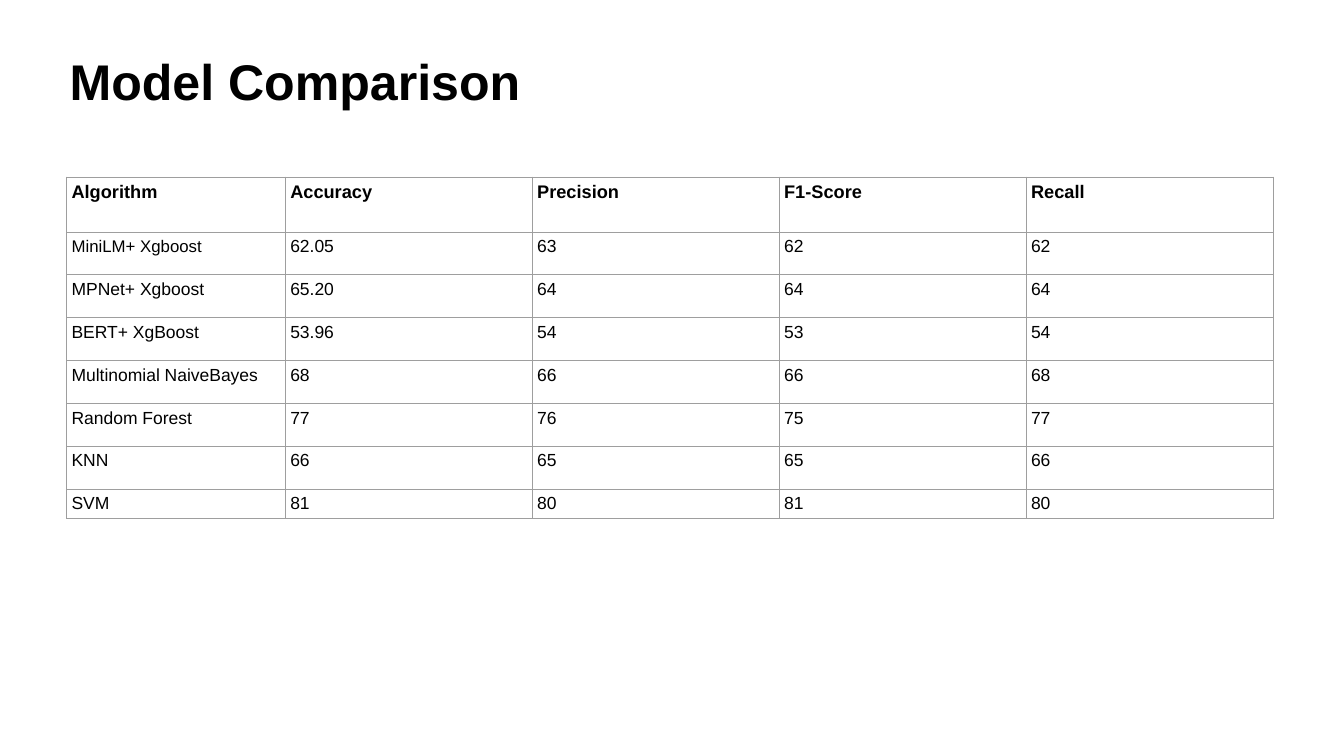
import pptx
import pptx.dml.color
import pptx.enum.text
import pptx.oxml
import pptx.oxml.ns
import pptx.util
from pptx.util import Inches


def style(r, size, bold):
    for name, value in {"name": "Arial", "size": pptx.util.Pt(size), "bold": bold}.items():
        setattr(r.font, name, value)
    r.font.color.rgb = pptx.dml.color.RGBColor.from_string("000000")


def add_borders(cell, color, width):
    tc_pr = cell._tc.get_or_add_tcPr()
    for i, side in enumerate(("lnL", "lnR", "lnT", "lnB")):
        tc_pr.insert(i, pptx.oxml.parse_xml(
            f'<a:{side} {pptx.oxml.ns.nsdecls("a")} w="{pptx.util.Pt(width)}">'
            f'<a:solidFill><a:srgbClr val="{color}"/></a:solidFill></a:{side}>'))


prs = pptx.Presentation()
prs.slide_width, prs.slide_height = Inches(26.67), Inches(15)
s = prs.slides.add_slide(prs.slide_layouts[5])

# Title
title = s.shapes.title
title.left, title.top = Inches(1.32), Inches(1.18)
title.width, title.height = Inches(24.03), Inches(1.57)
tf = title.text_frame
for side in ("left", "right", "top", "bottom"):
    setattr(tf, f"margin_{side}", Inches(0.06))
tf.word_wrap = True
tf.auto_size = pptx.enum.text.MSO_AUTO_SIZE.NONE
tf.vertical_anchor = pptx.enum.text.MSO_ANCHOR.TOP
p = tf.paragraphs[0]
p.alignment = pptx.enum.text.PP_ALIGN.LEFT
p.line_spacing = 0.8
r = p.add_run()
r.text = "Model Comparison"
style(r, 71.6, True)

# Score table
rows = [
    ("Algorithm", "Accuracy", "Precision", "F1-Score", "Recall"),
    ("MiniLM+ Xgboost", "62.05", "63", "62", "62"),
    ("MPNet+ Xgboost", "65.20", "64", "64", "64"),
    ("BERT+ XgBoost", "53.96", "54", "53", "54"),
    ("Multinomial NaiveBayes", "68", "66", "66", "68"),
    ("Random Forest", "77", "76", "75", "77"),
    ("KNN", "66", "65", "65", "66"),
    ("SVM", "81", "80", "81", "80"),
]
widths = [4.34] + [4.9] * 4
heights = [1.09] + [0.85] * 6 + [0.58]
table = s.shapes.add_table(len(rows), len(widths), Inches(1.32), Inches(3.51),
                           Inches(sum(widths)), Inches(sum(heights))).table
table.first_row = table.horz_banding = False
for column, width in zip(table.columns, widths):
    column.width = Inches(width)
for i, (values, height) in enumerate(zip(rows, heights)):
    table.rows[i].height = Inches(height)
    for j, value in enumerate(values):
        cell = table.cell(i, j)
        cell.fill.background()
        add_borders(cell, "9E9E9E", 0.75)
        for side in ("left", "right", "top", "bottom"):
            setattr(cell, f"margin_{side}", Inches(0.1))
        r = cell.text_frame.paragraphs[0].add_run()
        r.text = value
        header = i == 0
        size = 26 if header else 24 if (i, j) == (1, 0) else 25
        style(r, size, header)

prs.save("out.pptx")
